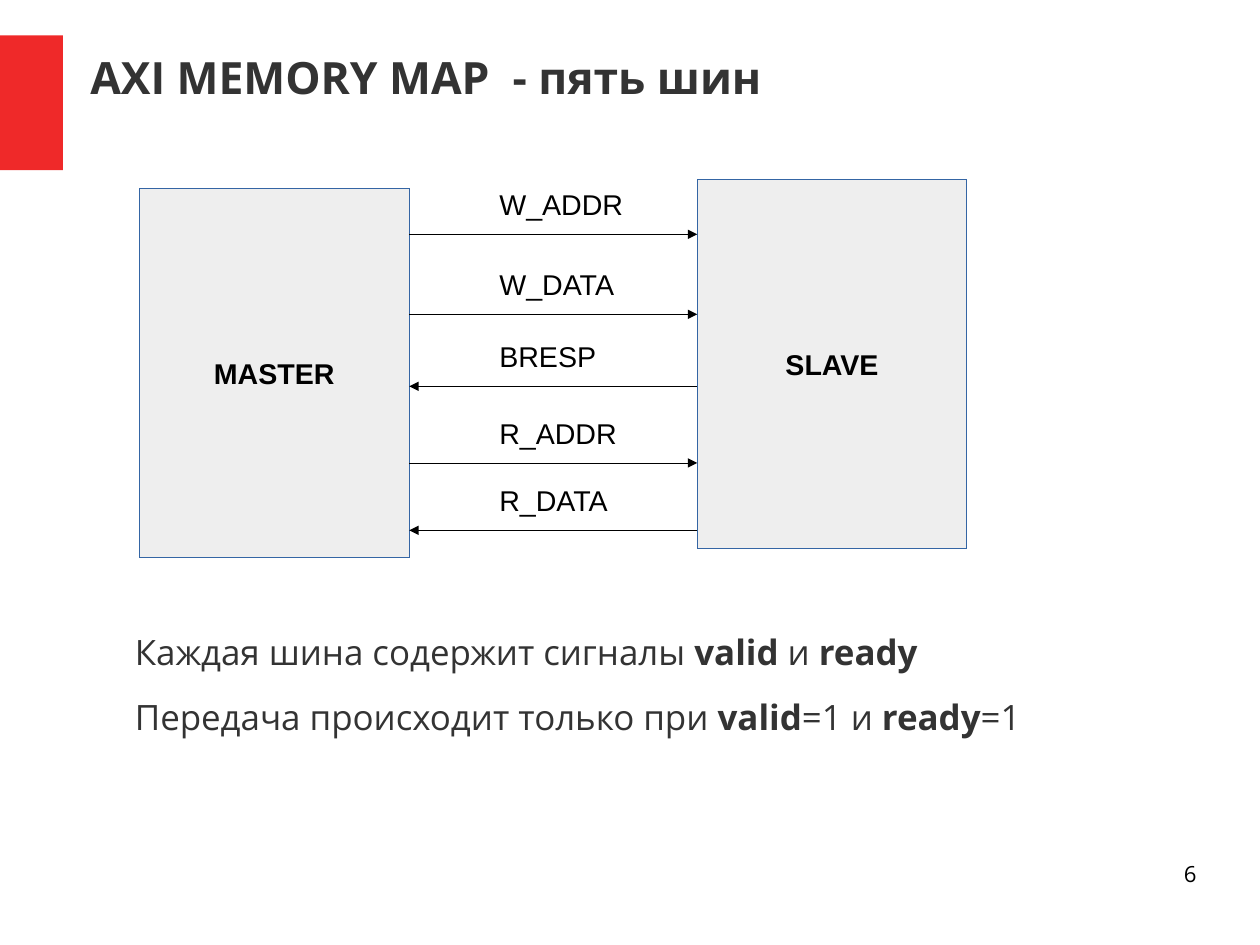
from dataclasses import dataclass

from pptx import Presentation
from pptx.dml.color import RGBColor
from pptx.enum.shapes import MSO_CONNECTOR as Connector, MSO_SHAPE as Shape
from pptx.enum.text import MSO_ANCHOR as Anchor, MSO_AUTO_SIZE as AutoSize, PP_ALIGN as Align
from pptx.oxml.ns import qn
from pptx.util import Inches, Pt
from lxml import etree


@dataclass(frozen=True)
class Theme:
    heading_font: str = "Open Sans"
    diagram_font: str = "Arial"
    accent: str = "EF2929"
    dark: str = "333333"
    black: str = "000000"
    block_fill: str = "EEEEEE"
    block_line: str = "3465A4"
    title_size: int = 28
    body_size: int = 22
    diagram_size: int = 18
    number_size: int = 14


THEME = Theme()
DIAGRAM_TEXT = (THEME.diagram_font, THEME.diagram_size, THEME.black)

# The page measures 28 by 21 centimetres
CM_PER_INCH = 2.54
PAGE_WIDTH, PAGE_HEIGHT = 28 / CM_PER_INCH, 21 / CM_PER_INCH

# Blocks: name, left, top
BLOCK_WIDTH, BLOCK_HEIGHT = 2.36, 3.23
MASTER = ("MASTER", 1.22, 1.65)
SLAVE = ("SLAVE", 6.1, 1.57)

# Buses: name, height of the arrow, whether it runs to the slave
BUSES = [
    ("W_ADDR", 2.05, True),
    ("W_DATA", 2.75, True),
    ("BRESP", 3.38, False),
    ("R_ADDR", 4.05, True),
    ("R_DATA", 4.64, False),
]
LABEL_LEFT, LABEL_RISE = 4.27, 0.46

# Each paragraph is a list of (text, bold) spans
NOTES = [
    [("Каждая шина содержит сигналы ", False), ("valid", True),
     (" и ", False), ("ready", True)],
    [("Передача происходит только при ", False), ("valid", True),
     ("=1 и ", False), ("ready", True), ("=1", False)],
]


def color(value):
    return RGBColor.from_string(value)


def apply_format(target, values):
    for name, value in values.items():
        setattr(target, name, value)


def add_span(para, text, style, bold=False):
    font, size, tint = style
    span = para.add_run()
    span.text = text
    apply_format(span.font, {"name": font, "size": Pt(size), "bold": bold})
    span.font.color.rgb = color(tint)


def set_frame(frame, side=0, edge=0, anchor=Anchor.TOP, wrap=True):
    apply_format(frame, {
        "margin_left": Inches(side), "margin_right": Inches(side),
        "margin_top": Inches(edge), "margin_bottom": Inches(edge),
        "vertical_anchor": anchor, "word_wrap": wrap, "auto_size": AutoSize.NONE,
    })


def add_text(page, place, paragraphs, style, align=Align.LEFT, side=0, edge=0, **spacing):
    box = page.shapes.add_textbox(*map(Inches, place))
    frame = box.text_frame
    set_frame(frame, side, edge)
    for index, spans in enumerate(paragraphs):
        para = frame.add_paragraph() if index else frame.paragraphs[0]
        apply_format(para, {"alignment": align, **spacing})
        for text, bold in spans:
            add_span(para, text, style, bold)


def set_hairline(shape, tint):
    shape.line.color.rgb = color(tint)
    outline = shape.element.spPr.find(qn("a:ln"))
    outline.set("w", "0")  # a zero width must be written out to override the theme
    return outline


def add_rectangle(page, place, fill, line=None):
    box = page.shapes.add_shape(Shape.RECTANGLE, *map(Inches, place))
    box.shadow.inherit = False
    box.fill.solid()
    box.fill.fore_color.rgb = color(fill)
    if line:
        set_hairline(box, line)
    else:
        box.line.fill.background()
    return box


def add_block(page, name, left, top):
    place = (left, top, BLOCK_WIDTH, BLOCK_HEIGHT)
    box = add_rectangle(page, place, THEME.block_fill, THEME.block_line)
    set_frame(box.text_frame, 0.1, 0.05, Anchor.MIDDLE, False)
    para = box.text_frame.paragraphs[0]
    para.alignment = Align.CENTER
    add_span(para, name, DIAGRAM_TEXT, True)


def add_arrow(page, start, end, height):
    arrow = page.shapes.add_connector(
        Connector.STRAIGHT, *map(Inches, (start, height, end, height)))
    outline = set_hairline(arrow, THEME.black)
    etree.SubElement(outline, qn("a:tailEnd"), type="triangle")
    etree.SubElement(arrow.element.spPr, qn("a:effectLst"))


def add_bus(page, name, height, to_slave):
    ends = (MASTER[1] + BLOCK_WIDTH, SLAVE[1])
    start, end = ends if to_slave else ends[::-1]
    add_arrow(page, start, end, height)
    add_text(page, (LABEL_LEFT, height - LABEL_RISE, 1.28, 0.38), [[(name, False)]],
             DIAGRAM_TEXT, side=0.1, edge=0.05)


def set_title(page, text):
    title = page.shapes.title
    apply_format(title, {"left": Inches(0.79), "top": Inches(0.33),
                         "width": Inches(9.68), "height": Inches(0.69)})
    set_frame(title.text_frame, anchor=Anchor.MIDDLE)
    para = title.text_frame.paragraphs[0]
    para.alignment = Align.LEFT
    add_span(para, text, (THEME.heading_font, THEME.title_size, THEME.dark), True)


def main():
    deck = Presentation()
    deck.slide_width, deck.slide_height = Inches(PAGE_WIDTH), Inches(PAGE_HEIGHT)
    page = deck.slides.add_slide(deck.slide_layouts[5])

    # Heading
    add_rectangle(page, (0, 0.31, 0.55, 1.18), THEME.accent)
    set_title(page, "AXI MEMORY MAP  - пять шин")

    # Diagram
    for block in (MASTER, SLAVE):
        add_block(page, *block)
    for bus in BUSES:
        add_bus(page, *bus)

    # Notes and page number
    add_text(page, (1.18, 5.52, 8.98, 1.96), NOTES,
             (THEME.heading_font, THEME.body_size, THEME.dark),
             space_after=Pt(14.1))
    add_text(page, (7.9, 7.53, 2.57, 0.57), [[("6", False)]],
             (THEME.heading_font, THEME.number_size, THEME.black), Align.RIGHT)

    deck.save("out.pptx")


if __name__ == "__main__":
    main()
